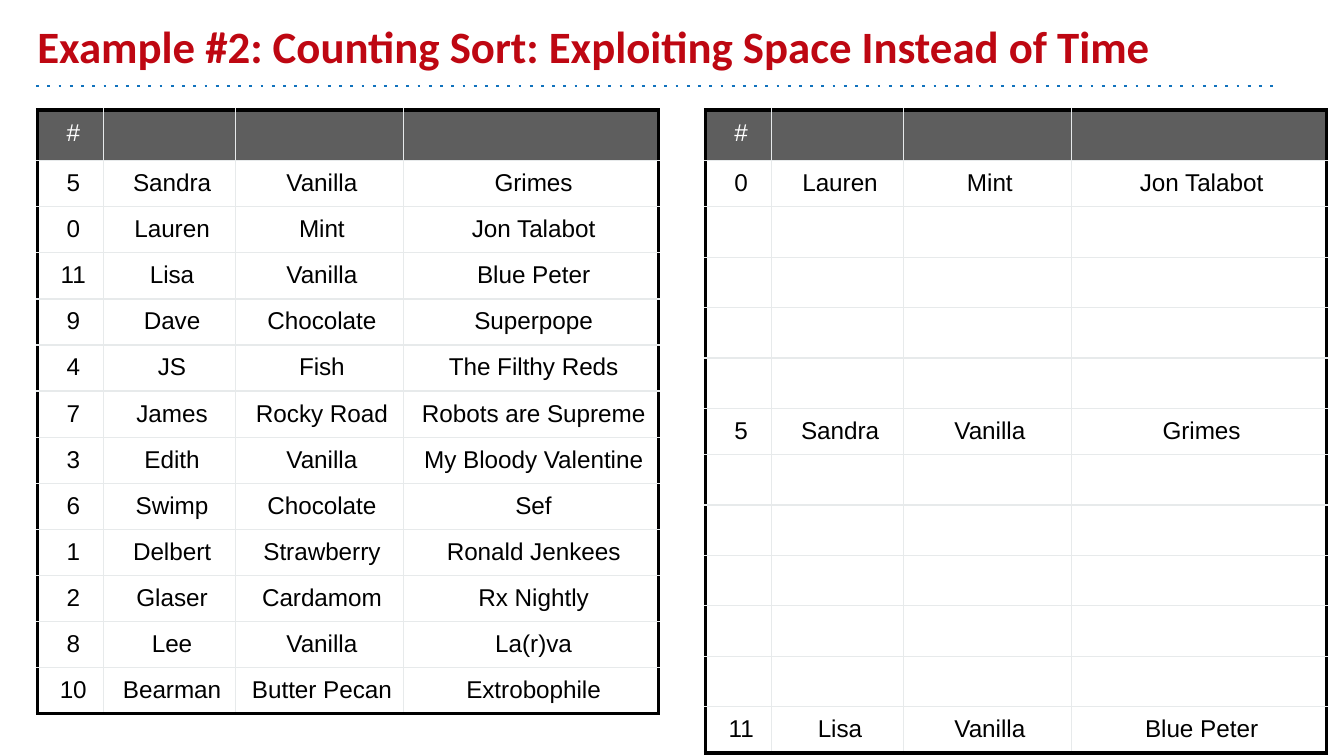
import pptx
import pptx.util
import pptx.dml.color
import pptx.enum.shapes
import pptx.enum.text
import pptx.oxml.ns
import lxml.etree

Inches, Pt = pptx.util.Inches, pptx.util.Pt
qn = pptx.oxml.ns.qn
rgb = pptx.dml.color.RGBColor.from_string

COLORS = {"title": "BE0712", "rule": "1072BD", "header": "5E5E5E",
          "body": "FFFFFF", "grid": "E7EAEB", "frame": "000000", "text": "000000"}
HEADER = ("#", "", "", "")
COLUMN_WIDTHS = (0.49, 0.98, 1.25, 1.9)
ROW_HEIGHT = Pt(24.7)
CELL_MARGIN = Pt(2.7)

people = [
    ("5", "Sandra", "Vanilla", "Grimes"),
    ("0", "Lauren", "Mint", "Jon Talabot"),
    ("11", "Lisa", "Vanilla", "Blue Peter"),
    ("9", "Dave", "Chocolate", "Superpope"),
    ("4", "JS", "Fish", "The Filthy Reds"),
    ("7", "James", "Rocky Road", "Robots are Supreme"),
    ("3", "Edith", "Vanilla", "My Bloody Valentine"),
    ("6", "Swimp", "Chocolate", "Sef"),
    ("1", "Delbert", "Strawberry", "Ronald Jenkees"),
    ("2", "Glaser", "Cardamom", "Rx Nightly"),
    ("8", "Lee", "Vanilla", "La(r)va"),
    ("10", "Bearman", "Butter Pecan", "Extrobophile"),
]

# The first three people have been moved to the slot of their number.
slots = [("", "", "", "")] * len(people)
for person in people[:3]:
    slots[int(person[0])] = person


def set_border(cell, side, on_frame):
    """Draw one side (L, R, T or B) as outer frame or as inner grid line."""
    width = Pt(2.25 if on_frame else 0.75)
    edge = lxml.etree.SubElement(cell._tc.get_or_add_tcPr(), qn(f"a:ln{side}"), w=str(width))
    fill = lxml.etree.SubElement(edge, qn("a:solidFill"))
    lxml.etree.SubElement(fill, qn("a:srgbClr"), val=COLORS["frame" if on_frame else "grid"])
    lxml.etree.SubElement(edge, qn("a:prstDash"), val="solid")


def add_people_table(slide, left, rows):
    grid = slide.shapes.add_table(
        len(rows), len(COLUMN_WIDTHS), Inches(left), Inches(0.82),
        Inches(sum(COLUMN_WIDTHS)), ROW_HEIGHT * len(rows)).table
    for column, width in zip(grid.columns, COLUMN_WIDTHS):
        column.width = Inches(width)
    last_row, last_column = len(rows) - 1, len(COLUMN_WIDTHS) - 1
    for r, values in enumerate(rows):
        grid.rows[r].height = ROW_HEIGHT
        for c, value in enumerate(values):
            cell = grid.cell(r, c)
            cell.margin_left = cell.margin_right = CELL_MARGIN
            cell.margin_top = cell.margin_bottom = CELL_MARGIN
            set_border(cell, "L", c == 0)
            set_border(cell, "R", c == last_column)
            set_border(cell, "T", r == 0)
            set_border(cell, "B", r == last_row)
            cell.fill.solid()
            cell.fill.fore_color.rgb = rgb(COLORS["header" if r == 0 else "body"])
            entry = cell.text_frame.paragraphs[0]
            if not value:
                # The font of an empty cell sets the height of its row.
                empty = lxml.etree.SubElement(entry._p, qn("a:endParaRPr"), sz="1800")
                lxml.etree.SubElement(empty, qn("a:latin"), typeface="Arial")
                continue
            entry.text = value
            entry.alignment = pptx.enum.text.PP_ALIGN.CENTER
            entry.line_spacing = 1.15
            entry._p.get_or_add_pPr().set("marL", str(Inches(0.04)))
            font = entry.runs[0].font
            font.name, font.size, font.bold = "Arial", Pt(13), False
            font.color.rgb = rgb(COLORS["body" if r == 0 else "text"])


deck = pptx.Presentation()
deck.slide_width = Inches(10)
deck.slide_height = Inches(10 * 9 / 16)
slide = deck.slides.add_slide(deck.slide_layouts[6])

rule = slide.shapes.add_connector(
    pptx.enum.shapes.MSO_CONNECTOR.STRAIGHT,
    Inches(0.27), Inches(0.64), Inches(9.5), Inches(0.64))
rule.line.color.rgb = rgb(COLORS["rule"])
rule.line.width = Pt(1.5)
lxml.etree.SubElement(rule.line._get_or_add_ln(), qn("a:prstDash"), val="dot")
lxml.etree.SubElement(rule._element.spPr, qn("a:effectLst"))

title = slide.shapes.add_textbox(Inches(0.18), Inches(0.1), Inches(9), Inches(0.54)).text_frame
title.word_wrap = True
title.vertical_anchor = pptx.enum.text.MSO_ANCHOR.BOTTOM
title.margin_left = title.margin_right = Inches(0.1)
title.margin_top = title.margin_bottom = Inches(0.1)
title.text = "Example #2: Counting Sort: Exploiting Space Instead of Time"
title_font = title.paragraphs[0].runs[0].font
title_font.name, title_font.size, title_font.bold = "Calibri", Pt(24), True
title_font.color.rgb = rgb(COLORS["title"])

add_people_table(slide, 0.28, [HEADER] + people)
add_people_table(slide, 5.25, [HEADER] + slots)

deck.save("out.pptx")
